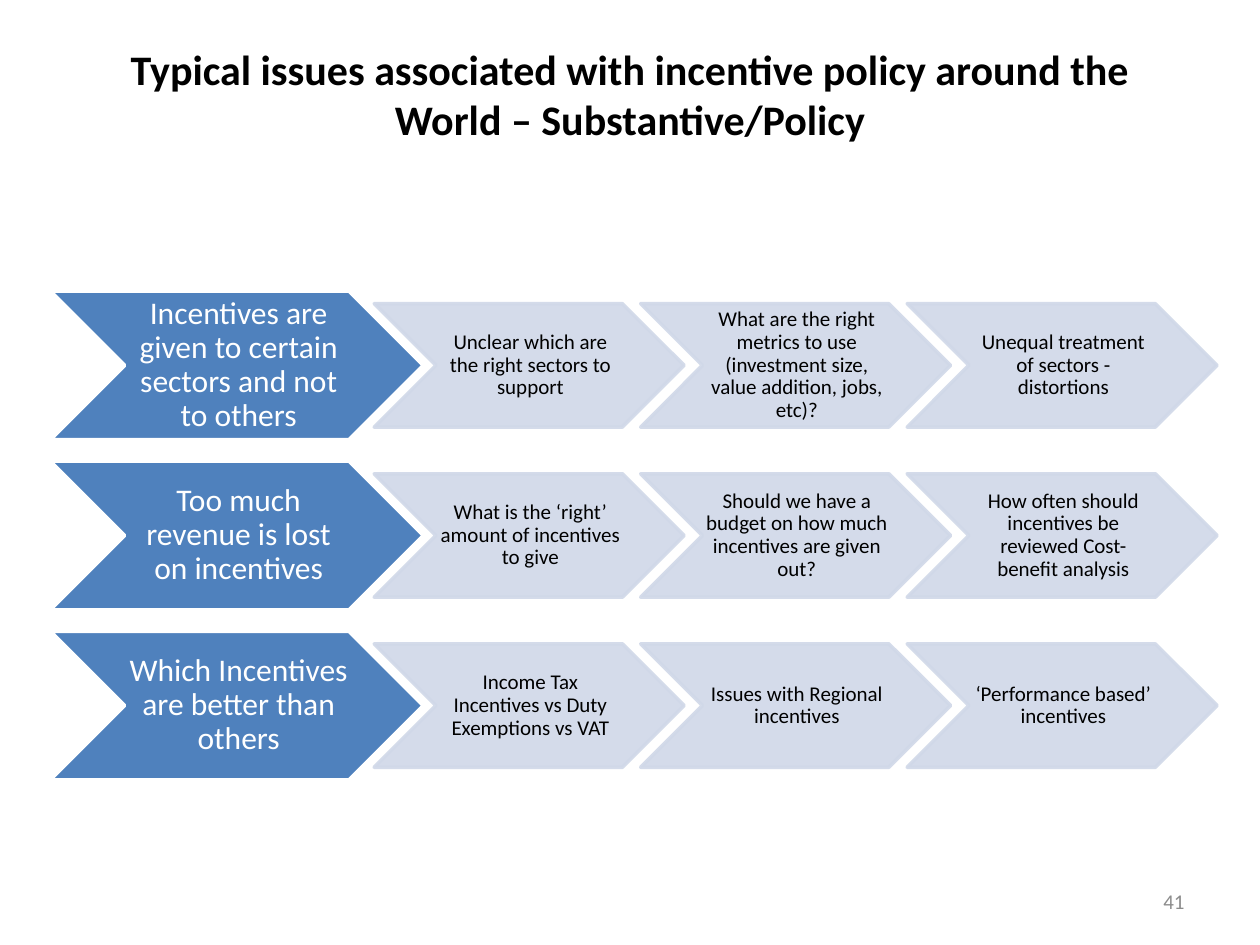
"""Build a slide of chevron rows on issues with incentive policy."""
from dataclasses import dataclass

from lxml.etree import SubElement
from pptx import Presentation
from pptx.dml.color import RGBColor
from pptx.enum.shapes import MSO_SHAPE
from pptx.enum.text import MSO_ANCHOR, PP_ALIGN
from pptx.oxml.ns import qn
from pptx.util import Inches, Pt

COLORS = {"blue": "4F81BD", "pale": "D0D8E8", "white": "FFFFFF", "black": "000000", "gray": "8C8C8C"}
FONT = "Calibri"
TOP, ROW_STEP = 2.31, 1.35
STEP_LEFT, STEP_PITCH = 2.97, 2.115


@dataclass(frozen=True)
class ChevronStyle:
    width: float
    height: float
    fill: str
    line: str
    text: str
    size: int
    inset: float
    opacity: int = 100


@dataclass(frozen=True)
class IssueRow:
    issue: str
    questions: tuple[str, ...]


ISSUE = ChevronStyle(2.96, 1.18, "blue", "white", "white", 18, 0.03)
QUESTION = ChevronStyle(2.46, 0.98, "pale", "pale", "black", 12, 0.02, 90)

ROWS = (
    IssueRow("Incentives are given to certain sectors and not to others", (
        "Unclear which are the right sectors to support",
        "What are the right metrics to use (investment size, value addition, jobs, etc)?",
        "Unequal treatment of sectors - distortions",
    )),
    IssueRow("Too much revenue is lost on incentives", (
        "What is the ‘right’ amount of incentives to give",
        "Should we have a budget on how much incentives are given out?",
        "How often should incentives be reviewed Cost-benefit analysis",
    )),
    IssueRow("Which Incentives are better than others", (
        "Income Tax Incentives vs Duty Exemptions vs VAT",
        "Issues with Regional incentives",
        "‘Performance based’ incentives",
    )),
)


def rgb(name: str) -> RGBColor:
    return RGBColor.from_string(COLORS[name])


def place(sp, left: float, top: float, width: float, height: float) -> None:
    sp.left, sp.top = Inches(left), Inches(top)
    sp.width, sp.height = Inches(width), Inches(height)


def write(sp, text: str, size: int, color: str, align: PP_ALIGN, bold: bool = False):
    tf = sp.text_frame
    tf.text = text
    tf.word_wrap = True
    tf.vertical_anchor = MSO_ANCHOR.MIDDLE
    p = tf.paragraphs[0]
    p.alignment = align
    font = p.runs[0].font
    font.name, font.size, font.bold = FONT, Pt(size), bold
    font.color.rgb = rgb(color)
    return tf


def add_chevron(slide, left: float, middle: float, text: str, style: ChevronStyle) -> None:
    sp = slide.shapes.add_shape(
        MSO_SHAPE.CHEVRON, Inches(left), Inches(middle - style.height / 2),
        Inches(style.width), Inches(style.height))
    sp.shadow.inherit = False
    sp.fill.solid()
    sp.fill.fore_color.rgb = rgb(style.fill)
    sp.line.color.rgb = rgb(style.line)
    sp.line.width = Pt(2)
    if style.opacity < 100:
        for color in sp._element.spPr.iter(qn("a:srgbClr")):
            SubElement(color, qn("a:alpha"), val=str(style.opacity * 1000))
    tf = write(sp, text, style.size, style.text, PP_ALIGN.CENTER)
    tf.margin_left, tf.margin_right = Inches(style.inset), 0
    tf.margin_top = tf.margin_bottom = Inches(0.01)
    tf.paragraphs[0].line_spacing = 0.9


def main() -> None:
    prs = Presentation()
    prs.slide_width, prs.slide_height = Inches(10), Inches(7.5)
    slide = prs.slides.add_slide(prs.slide_layouts[5])

    title = slide.shapes.title
    place(title, 0.5, 0.3, 9, 1.25)
    tf = write(title, "Typical issues associated with incentive policy around the World – Substantive/Policy",
               24, "black", PP_ALIGN.CENTER, bold=True)
    tf.margin_bottom = Inches(0.41)

    for i, row in enumerate(ROWS):
        middle = TOP + i * ROW_STEP + ISSUE.height / 2
        add_chevron(slide, 0.4, middle, row.issue, ISSUE)
        for j, question in enumerate(row.questions):
            add_chevron(slide, STEP_LEFT + j * STEP_PITCH, middle, question, QUESTION)

    number = slide.shapes.add_textbox(Inches(7.17), Inches(6.95), Inches(2.33), Inches(0.4))
    write(number, "41", 12, "gray", PP_ALIGN.RIGHT)

    prs.save("out.pptx")


if __name__ == "__main__":
    main()
